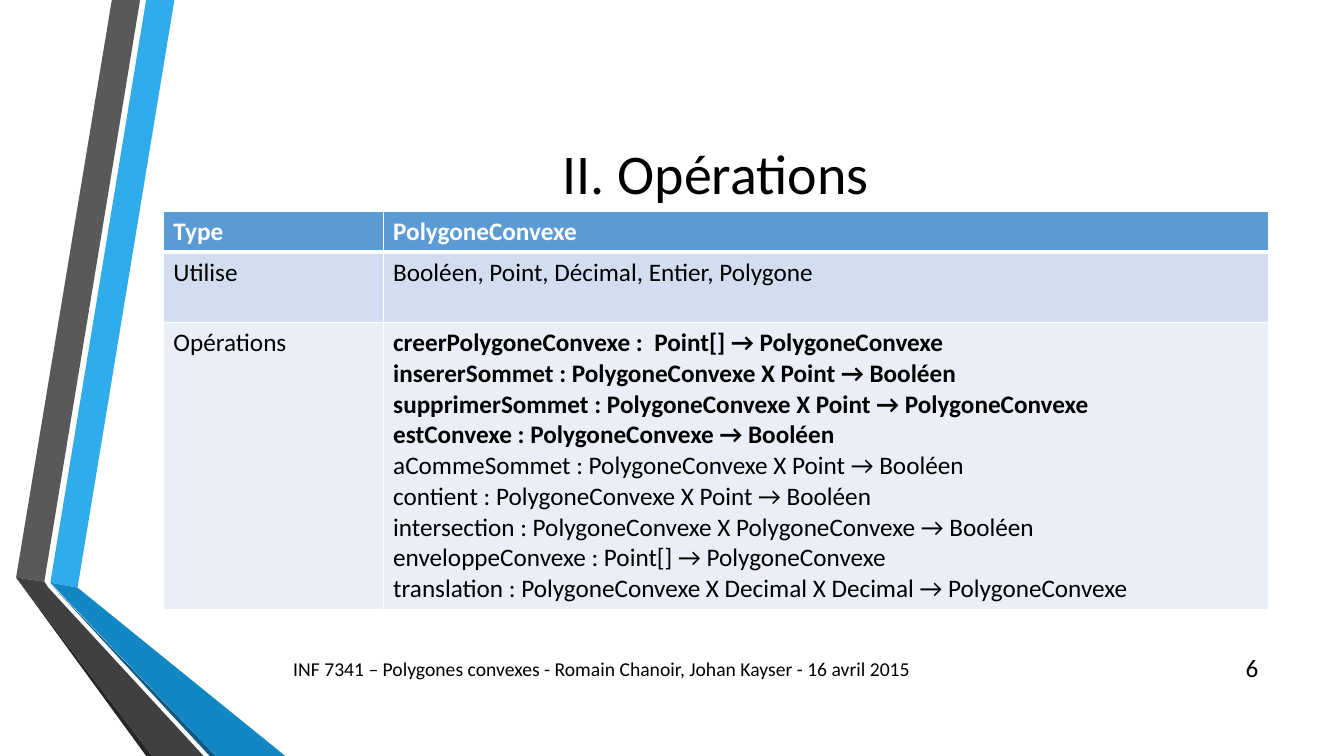
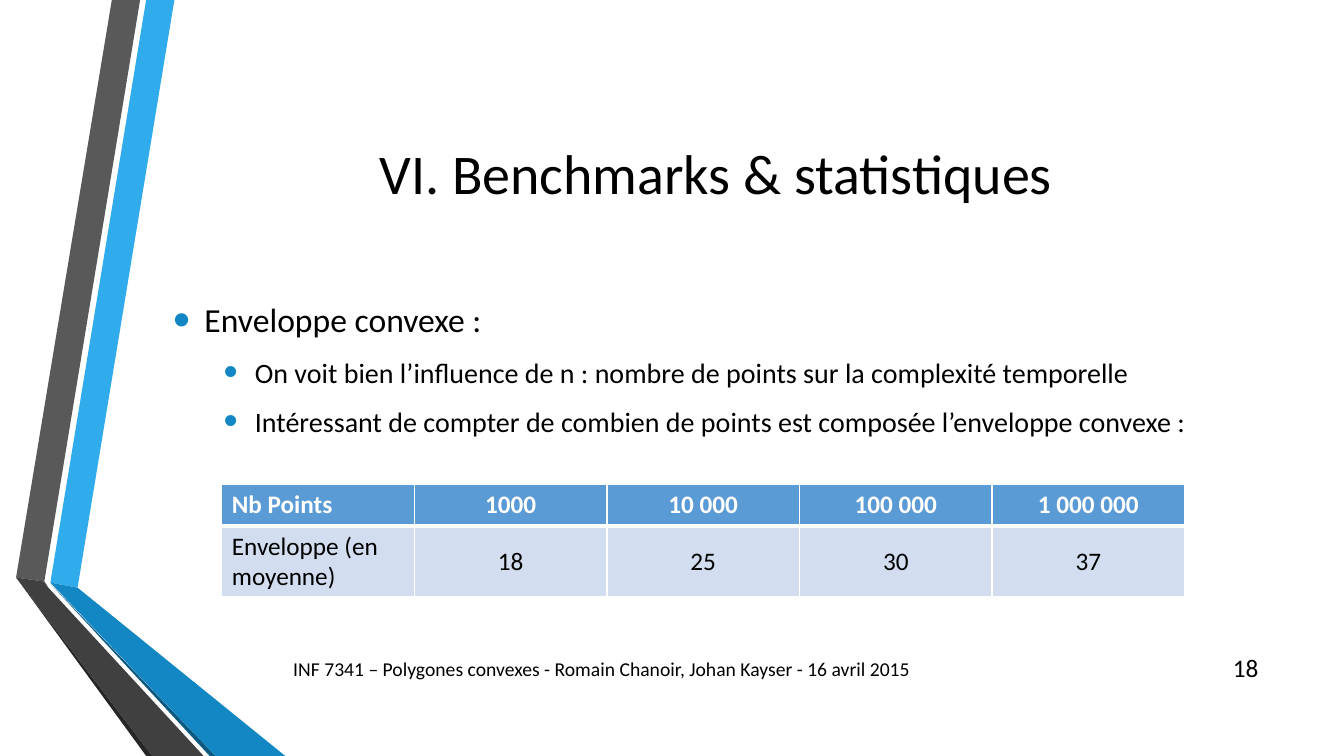
import pptx
import pptx.dml.color
import pptx.enum.text
import pptx.oxml.ns
import pptx.util
from lxml import etree

Inches, Pt = pptx.util.Inches, pptx.util.Pt
ALIGN, ANCHOR = pptx.enum.text.PP_ALIGN, pptx.enum.text.MSO_ANCHOR

FONT = "Calibri"
COLORS = {
    "text": "000000",
    "white": "FFFFFF",
    "bullet": "1287C3",
    "header": "5B9BD5",
    "row": "D2DEEF",
    "row_alt": "EAEFF7",
    "blue": "30ACEC",
    "blue_fold": "1287C3",
    "blue_shade": "0C5A82",
    "gray": "595959",
    "gray_fold": "404040",
    "gray_shade": "262626",
}
RIBBONS = [
    ("blue", [(0.5, 5.78), (0.77, 5.83), (1.73, 0), (1.45, 0)]),
    ("gray", [(1.39, 0), (1.11, 0), (0.16, 5.73), (0.44, 5.77)]),
    ("gray_shade", [(0.16, 5.73), (1.45, 7.5), (1.51, 7.5)]),
    ("blue_shade", [(0.5, 5.79), (2.08, 7.5), (2.14, 7.5)]),
    ("blue_fold", [(0.5, 5.78), (2.14, 7.5), (2.83, 7.5), (0.77, 5.83)]),
    ("gray_fold", [(2.02, 7.5), (0.48, 5.83), (0.44, 5.77), (0.16, 5.73), (1.51, 7.5)]),
]
FOOTER = "INF 7341 – Polygones convexes - Romain Chanoir, Johan Kayser - 16 avril 2015"

MAIN_OPERATIONS = [
    "creerPolygoneConvexe :  Point[] → PolygoneConvexe",
    "insererSommet : PolygoneConvexe X Point → Booléen",
    "supprimerSommet : PolygoneConvexe X Point → PolygoneConvexe",
    "estConvexe : PolygoneConvexe → Booléen",
]
OTHER_OPERATIONS = [
    "aCommeSommet : PolygoneConvexe X Point → Booléen",
    "contient : PolygoneConvexe X Point → Booléen",
    "intersection : PolygoneConvexe X PolygoneConvexe → Booléen",
    "enveloppeConvexe : Point[] → PolygoneConvexe",
    "translation : PolygoneConvexe X Decimal X Decimal → PolygoneConvexe",
]
BULLETS = [
    (0, "Enveloppe convexe :"),
    (1, "On voit bien l’influence de n : nombre de points sur la complexité temporelle"),
    (1, "Intéressant de compter de combien de points est composée l’enveloppe convexe :"),
]
# Per level: text size, left margin in inches, space before
LEVELS = [(24, 0.31, 6), (20, 0.81, 5)]


def rgb(name):
    return pptx.dml.color.RGBColor.from_string(COLORS[name])


def sub(parent, tag, **attrs):
    el = etree.SubElement(parent, pptx.oxml.ns.qn(tag))
    for key, value in attrs.items():
        el.set(key, str(value))
    return el


def add_run(p, text, size, color="text", bold=False):
    r = p.add_run()
    r.text = text
    for key, value in {"name": FONT, "size": Pt(size), "bold": bold}.items():
        setattr(r.font, key, value)
    r.font.color.rgb = rgb(color)


def add_paragraph(tf, first):
    return tf.paragraphs[0] if first else tf.add_paragraph()


def add_box(s, box, anchor=ANCHOR.MIDDLE):
    tf = s.shapes.add_textbox(*map(Inches, box)).text_frame
    tf.word_wrap = True
    tf.vertical_anchor = anchor
    return tf


def add_line(s, text, box, size, align=ALIGN.LEFT):
    p = add_box(s, box).paragraphs[0]
    p.alignment = align
    add_run(p, text, size)


def add_ribbon(s, color, points):
    pts = [(Inches(x), Inches(y)) for x, y in points]
    builder = s.shapes.build_freeform(*pts[0])
    builder.add_line_segments(pts[1:], close=True)
    sp = builder.convert_to_shape()
    sp.shadow.inherit = False
    sp.fill.solid()
    sp.fill.fore_color.rgb = rgb(color)
    sp.line.fill.background()


def add_base_slide(prs, title, number):
    """Add a slide with the ribbons, title, footer and number."""
    s = prs.slides.add_slide(prs.slide_layouts[6])
    for color, points in RIBBONS:
        add_ribbon(s, color, points)
    add_line(s, title, (1.62, 0.75, 10.96, 1.92), 40, ALIGN.CENTER)
    add_line(s, str(number), (11.98, 6.42, 0.6, 0.4), 18, ALIGN.RIGHT)
    add_line(s, FOOTER, (2.81, 6.43, 7.75, 0.4), 14)
    return s


def add_bullets(s, items, box):
    tf = add_box(s, box, ANCHOR.TOP)
    for i, (level, text) in enumerate(items):
        size, margin, before = LEVELS[level]
        p = add_paragraph(tf, i == 0)
        for key, value in {"level": level, "space_before": Pt(before),
                           "space_after": Pt(6)}.items():
            setattr(p, key, value)
        pPr = p._p.get_or_add_pPr()
        pPr.set("marL", str(Inches(margin)))
        pPr.set("indent", str(-Inches(0.31)))
        sub(sub(pPr, "a:buClr"), "a:srgbClr", val=COLORS["bullet"])
        sub(pPr, "a:buSzPct", val=145000)
        sub(pPr, "a:buFont", typeface="Arial")
        sub(pPr, "a:buChar", char="•")
        add_run(p, text, size)


def set_borders(cell, top, bottom):
    tcPr = cell._tc.get_or_add_tcPr()
    for side, width in {"L": 1, "R": 1, "T": top, "B": bottom}.items():
        ln = sub(tcPr, f"a:ln{side}", w=Pt(width))
        sub(sub(ln, "a:solidFill"), "a:srgbClr", val=COLORS["white"])


def fill_cell(cell, lines, row, align, anchor):
    """Write lines of (text, bold) into a cell styled by its row."""
    header = row == 0
    set_borders(cell, 3 if row == 1 else 1, 3 if header else 1)
    cell.fill.solid()
    cell.fill.fore_color.rgb = rgb(("header", "row", "row_alt")[row])
    cell.vertical_anchor = anchor
    for i, (text, bold) in enumerate(lines):
        p = add_paragraph(cell.text_frame, i == 0)
        p.alignment = align
        add_run(p, text, 18, "white" if header else "text", header or bold)


def add_table(s, rows, left, top, widths, heights, centered=False):
    """Add a table; centered applies to every column but the first."""
    size = (sum(widths), sum(heights))
    table = s.shapes.add_table(len(rows), len(widths),
                               *map(Inches, (left, top, *size))).table
    table.horz_banding = False
    for column, width in zip(table.columns, widths):
        column.width = Inches(width)
    for i, (values, height) in enumerate(zip(rows, heights)):
        table.rows[i].height = Inches(height)
        for j, value in enumerate(values):
            middle = centered and j > 0
            lines = [(value, False)] if isinstance(value, str) else value
            fill_cell(table.cell(i, j), lines, i,
                      ALIGN.CENTER if middle else ALIGN.LEFT,
                      ANCHOR.MIDDLE if middle and i > 0 else ANCHOR.TOP)


def add_operations_slide(prs):
    s = add_base_slide(prs, "II. Opérations", 6)
    operations = ([(text, True) for text in MAIN_OPERATIONS]
                  + [(text, False) for text in OTHER_OPERATIONS])
    rows = [
        ("Type", "PolygoneConvexe"),
        ("Utilise", "Booléen, Point, Décimal, Entier, Polygone"),
        ("Opérations", operations),
    ]
    add_table(s, rows, 1.62, 2.1, [2.18, 8.78], [0.4, 0.7, 2.85])


def add_benchmarks_slide(prs):
    s = add_base_slide(prs, "VI. Benchmarks & statistiques", 18)
    add_bullets(s, BULLETS, (1.62, 2.92, 10.96, 3.42))
    rows = [
        ("Nb Points", "1000", "10 000", "100 000", "1 000 000"),
        ("Enveloppe (en moyenne)", "18", "25", "30", "37"),
    ]
    add_table(s, rows, 2.2, 4.81, [1.91] * 5, [0.41, 0.7], centered=True)


def main():
    prs = pptx.Presentation()
    prs.slide_width, prs.slide_height = Inches(13.33), Inches(7.5)
    add_operations_slide(prs)
    add_benchmarks_slide(prs)
    prs.save("out.pptx")


if __name__ == "__main__":
    main()
